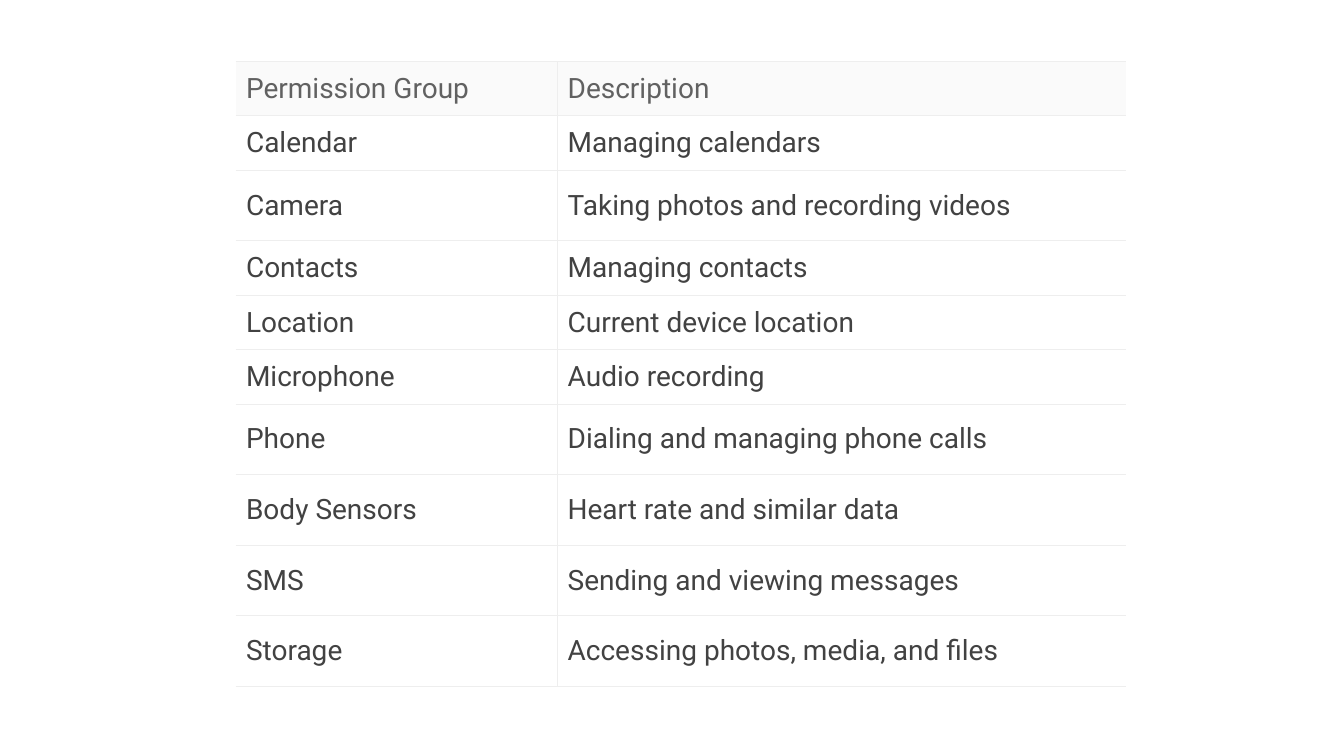
"""Build a slide with a table of permission groups."""
from lxml.etree import SubElement
from pptx import Presentation
from pptx.dml.color import RGBColor
from pptx.enum.text import MSO_ANCHOR
from pptx.oxml.ns import qn
from pptx.util import Inches, Pt

COLORS = {"head": "616161", "body": "424242", "band": "FAFAFA",
          "page": "FFFFFF", "rule": "EEEEEE"}
LOW, HIGH = 0.54, 0.7
WIDTHS = (3.19, 5.64)
ROWS = [
    ("Permission Group", "Description", LOW),
    ("Calendar", "Managing calendars", LOW),
    ("Camera", "Taking photos and recording videos", HIGH),
    ("Contacts", "Managing contacts", LOW),
    ("Location", "Current device location", LOW),
    ("Microphone", "Audio recording", LOW),
    ("Phone", "Dialing and managing phone calls", HIGH),
    ("Body Sensors", "Heart rate and similar data", HIGH),
    ("SMS", "Sending and viewing messages", HIGH),
    ("Storage", "Accessing photos, media, and files", HIGH),
]


def write(cell, text, size=20, font="Roboto", color="body"):
    run = cell.text_frame.paragraphs[0].add_run()
    run.text = text
    run.font.size = Pt(size)
    run.font.name = font
    run.font.bold = False
    run.font.color.rgb = RGBColor.from_string(COLORS[color])


def rule(cell, sides):
    props = cell._tc.get_or_add_tcPr()
    for side in "LRTB":
        line = SubElement(props, qn(f"a:ln{side}"), w=str(Pt(0.75)))
        if side in sides:
            fill = SubElement(line, qn("a:solidFill"))
            SubElement(fill, qn("a:srgbClr"), val=COLORS["rule"])
        else:
            SubElement(line, qn("a:noFill"))


def style(cell, fill, sides):
    cell.vertical_anchor = MSO_ANCHOR.MIDDLE
    cell.margin_left = cell.margin_right = Inches(0.1)
    cell.margin_top = cell.margin_bottom = Inches(0.1)
    rule(cell, sides)
    cell.fill.solid()
    cell.fill.fore_color.rgb = RGBColor.from_string(COLORS[fill])


def add_grid(slide, left, top):
    height = sum(row[-1] for row in ROWS)
    frame = slide.shapes.add_table(
        len(ROWS), len(WIDTHS), Inches(left), Inches(top),
        Inches(sum(WIDTHS)), Inches(height))
    table = frame.table
    table.first_row = table.horz_banding = False
    for col, width in zip(table.columns, WIDTHS):
        col.width = Inches(width)
    for r, (group, about, tall) in enumerate(ROWS):
        table.rows[r].height = Inches(tall)
        for c, (text, sides) in enumerate([(group, "RTB"), (about, "LTB")]):
            cell = table.cell(r, c)
            style(cell, "page" if r else "band", sides)
            write(cell, text, color="body" if r else "head")


def main():
    deck = Presentation()
    deck.slide_width, deck.slide_height = Inches(13.33), Inches(7.5)
    slide = deck.slides.add_slide(deck.slide_layouts[6])
    add_grid(slide, 2.34, 0.61)
    deck.save("out.pptx")


if __name__ == "__main__":
    main()
